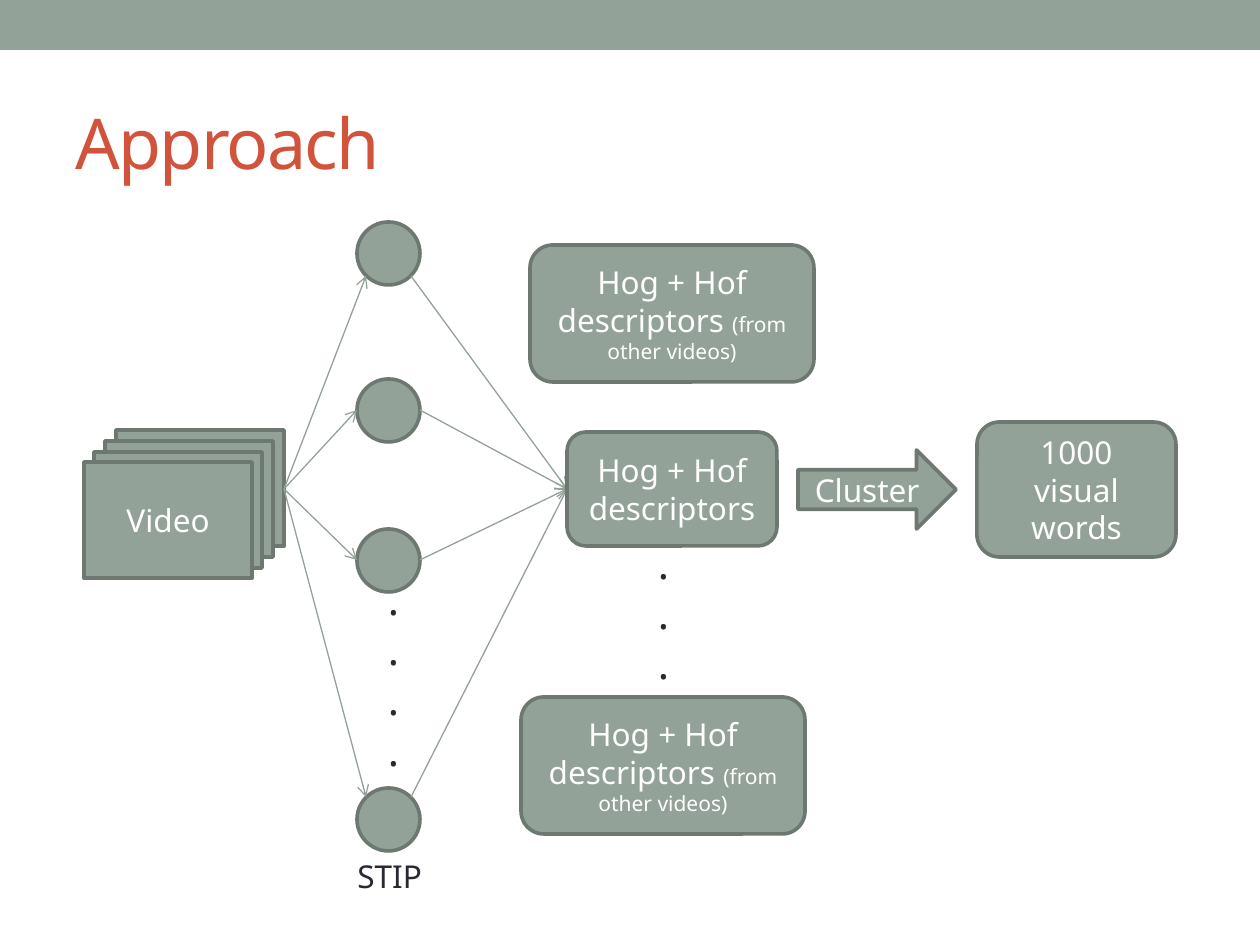
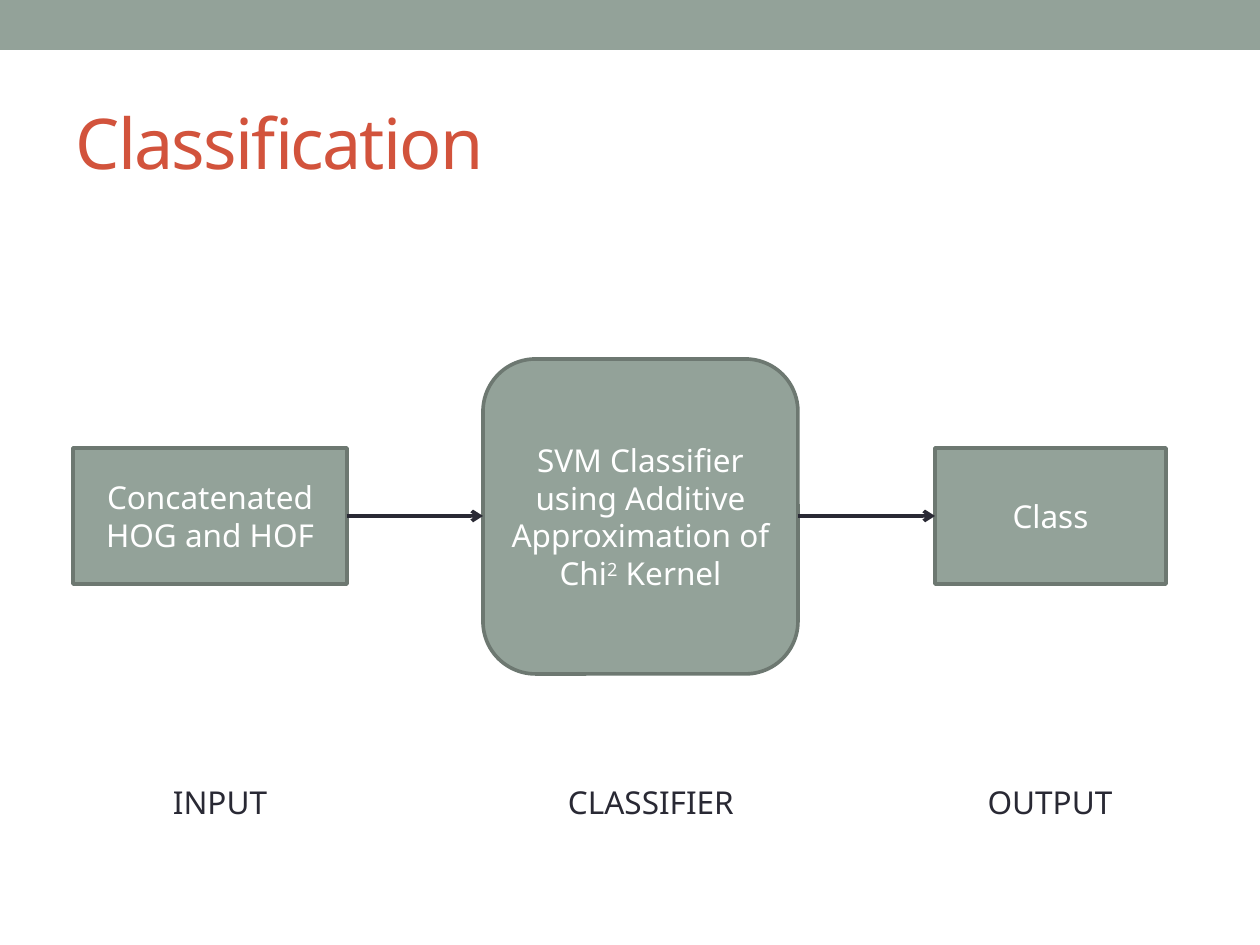
import math
from dataclasses import dataclass
from typing import Any

from lxml import etree
from pptx import Presentation
from pptx import util as u
from pptx.dml import color
from pptx.enum import shapes, text
from pptx.oxml import ns

PIXEL = u.Inches(1) / 126
FONT = "Noto Sans"
COLORS = {
    "sage": "93A299",
    "edge": "6D7871",
    "rust": "D2533C",
    "ink": "292934",
    "white": "FFFFFF",
}
KIND = shapes.MSO_SHAPE
CENTER = text.PP_ALIGN.CENTER
LEFT = text.PP_ALIGN.LEFT
TITLE_FRAME = {
    "vertical_anchor": text.MSO_ANCHOR.MIDDLE,
    "auto_size": text.MSO_AUTO_SIZE.NONE,
    "word_wrap": True,
}
NODE_FRAME = {"vertical_anchor": text.MSO_ANCHOR.MIDDLE, "word_wrap": True}
LABEL_FRAME = {"auto_size": text.MSO_AUTO_SIZE.SHAPE_TO_FIT_TEXT, "word_wrap": True}


@dataclass(frozen=True)
class Box:
    left: int
    top: int
    width: int
    height: int

    def lengths(self) -> tuple[int, ...]:
        return tuple(px(n) for n in (self.left, self.top, self.width, self.height))


@dataclass(frozen=True)
class Span:
    words: str
    size: int = 18
    attributes: tuple[tuple[str, str], ...] = ()


@dataclass(frozen=True)
class Node:
    kind: Any
    box: Box
    spans: tuple[Span, ...] = ()


@dataclass(frozen=True)
class Label:
    box: Box
    lines: tuple[str, ...]
    size: int = 18
    align: Any = CENTER


@dataclass(frozen=True)
class Arrow:
    start: tuple[int, int]
    end: tuple[int, int]
    color: str
    width: float


@dataclass(frozen=True)
class InterestPoint:
    top: int
    angle: int


def px(length: float) -> int:
    return round(length * PIXEL)


def rgb(name: str) -> color.RGBColor:
    return color.RGBColor.from_string(COLORS[name])


def assign(target: Any, values: dict[str, Any]) -> None:
    for name, value in values.items():
        setattr(target, name, value)


def place(shape: Any, box: Box) -> None:
    assign(shape, dict(zip(("left", "top", "width", "height"), box.lengths())))


def write(paragraph: Any, spans: tuple[Span, ...], ink: str, align: Any) -> None:
    paragraph.alignment = align
    for span in spans:
        run = paragraph.add_run()
        run.text = span.words
        assign(run.font, {"size": u.Pt(span.size), "name": FONT})
        run.font.color.rgb = rgb(ink)
        for name, value in span.attributes:
            run._r.get_or_add_rPr().set(name, value)


def draw_node(slide: Any, node: Node) -> None:
    shape = slide.shapes.add_shape(node.kind, *node.box.lengths())
    shape.shadow.inherit = False
    shape.fill.solid()
    shape.fill.fore_color.rgb = rgb("sage")
    shape.line.color.rgb = rgb("edge")
    shape.line.width = u.Pt(2.08)
    assign(shape.text_frame, NODE_FRAME)
    write(shape.text_frame.paragraphs[0], node.spans, "white", CENTER)


def draw_label(slide: Any, label: Label) -> None:
    frame = slide.shapes.add_textbox(*label.box.lengths()).text_frame
    assign(frame, LABEL_FRAME)
    for index, line in enumerate(label.lines):
        paragraph = frame.add_paragraph() if index else frame.paragraphs[0]
        write(paragraph, (Span(line, label.size),), "ink", label.align)


def draw_arrow(slide: Any, arrow: Arrow) -> None:
    points = [px(n) for n in (*arrow.start, *arrow.end)]
    connector = slide.shapes.add_connector(shapes.MSO_CONNECTOR.STRAIGHT, *points)
    connector.line.color.rgb = rgb(arrow.color)
    connector.line.width = u.Pt(arrow.width)
    properties = connector.element.spPr
    line = properties.find(ns.qn("a:ln"))
    etree.SubElement(line, ns.qn("a:tailEnd"), type="arrow")
    etree.SubElement(properties, ns.qn("a:effectLst"))


def prepare_layout(presentation: Any) -> Any:
    layout = presentation.slide_layouts.get_by_name("Title Only")
    place(layout.placeholders[0], Box(63, 73, 1134, 136))
    return layout


def add_band(slide: Any, layout: Any) -> None:
    band = slide.shapes.add_shape(KIND.RECTANGLE, *Box(0, 0, 1260, 50).lengths())
    band.shadow.inherit = False
    band.fill.solid()
    band.fill.fore_color.rgb = rgb("sage")
    band.line.fill.background()
    layout.shapes.element.insert(2, band.element)


def add_slide(presentation: Any, layout: Any, title: str) -> Any:
    slide = presentation.slides.add_slide(layout)
    frame = slide.shapes.title.text_frame
    assign(frame, TITLE_FRAME)
    write(frame.paragraphs[0], (Span(title, 40, (("spc", "-100"),)),), "rust", LEFT)
    return slide


def draw_approach(slide: Any) -> None:
    for depth in (3, 2, 1, 0):
        offset = round(10.5 * depth)
        spans = () if depth else (Span("Video"),)
        box = Box(84 + offset, 462 - offset, 168, 116)
        draw_node(slide, Node(KIND.FLOWCHART_PROCESS, box, spans))

    left, size = 357, 63
    radius = size / 2
    video_edge, descriptor_edge = (284, 489), (567, 489)
    points = (
        InterestPoint(222, 45),
        InterestPoint(379, 0),
        InterestPoint(529, 0),
        InterestPoint(788, -45),
    )
    for point in points:
        draw_node(slide, Node(KIND.OVAL, Box(left, point.top, size, size)))
        reach = radius * math.cos(math.radians(point.angle))
        y = round(point.top + radius + radius * math.sin(math.radians(point.angle)))
        entry = (round(left + radius - reach), y)
        departure = (round(left + radius + reach), y)
        draw_arrow(slide, Arrow(video_edge, entry, "sage", 0.75))
        draw_arrow(slide, Arrow(departure, descriptor_edge, "sage", 0.75))

    descriptors = "Hog + Hof descriptors"
    other_videos = (Span(descriptors + " "), Span("(from other videos)", 12))
    rounded = KIND.ROUNDED_RECTANGLE
    nodes = (
        Node(rounded, Box(567, 432, 210, 114), (Span(descriptors),)),
        Node(rounded, Box(530, 245, 284, 137), other_videos),
        Node(KIND.RIGHT_ARROW, Box(798, 450, 158, 79), (Span("Cluster"),)),
        Node(rounded, Box(977, 422, 199, 135), (Span("1000 visual words"),)),
        Node(rounded, Box(521, 697, 284, 137), other_videos),
    )
    labels = (
        Label(Box(345, 851, 96, 50), ("STIP",), align=LEFT),
        Label(Box(319, 567, 149, 217), (".",) * 4, 24),
        Label(Box(589, 531, 149, 165), (".",) * 3, 24),
    )
    for node in nodes:
        draw_node(slide, node)
    for label in labels:
        draw_label(slide, label)


def draw_classification(slide: Any) -> None:
    classifier = (
        Span("SVM Classifier using Additive Approximation of Chi"),
        Span("2", attributes=(("baseline", "30000"),)),
        Span(" Kernel"),
    )
    process = KIND.FLOWCHART_PROCESS
    nodes = (
        Node(process, Box(73, 448, 274, 136), (Span("Concatenated HOG and HOF"),)),
        Node(KIND.FLOWCHART_ALTERNATE_PROCESS, Box(483, 359, 315, 315), classifier),
        Node(process, Box(935, 448, 231, 136), (Span("Class"),)),
    )
    for node in nodes:
        draw_node(slide, node)
    for left, words in ((94, "INPUT"), (525, "CLASSIFIER"), (924, "OUTPUT")):
        draw_label(slide, Label(Box(left, 777, 252, 50), (words,)))
    for source, target in zip(nodes, nodes[1:]):
        start = (source.box.left + source.box.width, 516)
        draw_arrow(slide, Arrow(start, (target.box.left, 516), "ink", 2.08))


def main() -> None:
    presentation = Presentation()
    assign(presentation, {"slide_width": px(1260), "slide_height": px(945)})
    layout = prepare_layout(presentation)
    approach = add_slide(presentation, layout, "Approach")
    add_band(approach, layout)
    draw_approach(approach)
    draw_classification(add_slide(presentation, layout, "Classification"))
    presentation.save("out.pptx")


main()
